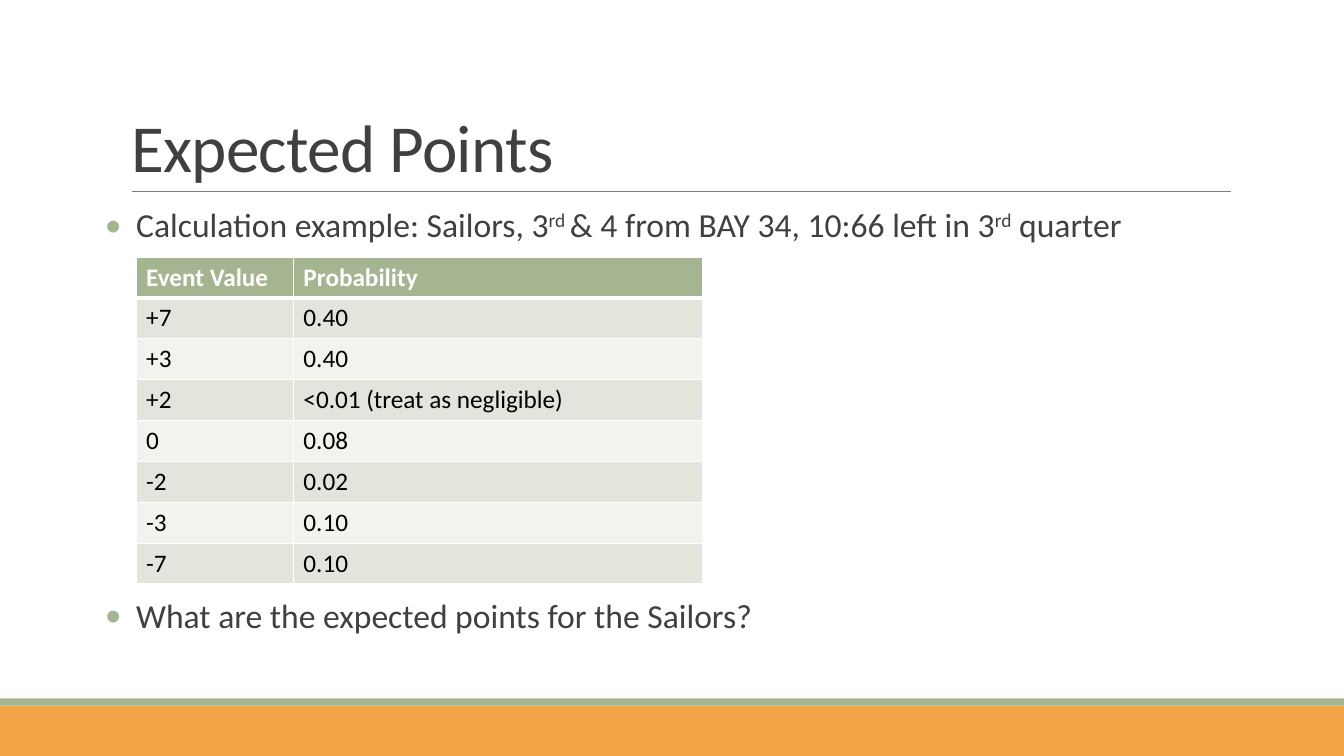
import pptx
import pptx.util
import pptx.dml.color
import pptx.enum.shapes
import pptx.enum.text
import pptx.oxml.ns
from lxml import etree

Inches = pptx.util.Inches
Pt = pptx.util.Pt
Anchor = pptx.enum.text.MSO_ANCHOR
HUES = {"ink": "404040", "black": "000000", "white": "FFFFFF", "rule": "808080",
        "sage": "A5B592", "gold": "F3A447", "dark": "E1E5DC", "light": "F0F3EE"}
ROWS = [("Event Value", "Probability"), ("+7", "0.40"), ("+3", "0.40"),
        ("+2", "<0.01 (treat as negligible)"), ("0", "0.08"),
        ("-2", "0.02"), ("-3", "0.10"), ("-7", "0.10")]
LINES = [(0, [("Calculation example: Sailors, 3", 0), ("rd ", 30),
              ("& 4 from BAY 34, 10:66 left in 3", 0), ("rd", 30), (" quarter", 0)]),
         (251, [("What are the expected points for the Sailors?", 0)])]


def rgb(hue):
    return pptx.dml.color.RGBColor.from_string(HUES[hue])


def node(root, tag, **attrs):
    return etree.SubElement(root, pptx.oxml.ns.qn("a:" + tag), attrs)


def write(para, text, size=18, hue="ink", bold=False, track=0, base=0):
    run = para.add_run()
    run.text = text
    font = run.font
    font.name, font.size, font.bold = "Calibri", Pt(size), bold
    font.color.rgb = rgb(hue)
    props = run._r.get_or_add_rPr()
    if track:
        props.set("spc", str(int(track * 100)))
    if base:
        props.set("baseline", str(base * 1000))


class Deck:
    """Holds the style and the current slide."""

    def __init__(self):
        self.show = pptx.Presentation()
        self.show.slide_width, self.show.slide_height = Inches(13.33), Inches(7.5)
        self.slide = self.show.slides.add_slide(self.show.slide_layouts[1])

    def place(self, shape, left, top, width, height):
        shape.left, shape.top = Inches(left), Inches(top)
        shape.width, shape.height = Inches(width), Inches(height)
        frame = shape.text_frame
        frame.word_wrap = True
        frame.auto_size = pptx.enum.text.MSO_AUTO_SIZE.NONE
        return frame

    def bar(self, top, height, hue):
        shape = self.slide.shapes.add_shape(
            pptx.enum.shapes.MSO_SHAPE.RECTANGLE,
            0, Inches(top), self.show.slide_width, Inches(height))
        shape.shadow.inherit = False
        shape.fill.solid()
        shape.fill.fore_color.rgb = rgb(hue)
        shape.line.fill.background()

    def rule(self, left, right, top):
        line = self.slide.shapes.add_connector(
            pptx.enum.shapes.MSO_CONNECTOR.STRAIGHT,
            Inches(left), Inches(top), Inches(right), Inches(top))
        line.line.color.rgb = rgb("rule")
        line.line.width = Pt(0.5)
        node(line._element.spPr, "effectLst")

    def title(self, text, *box):
        frame = self.place(self.slide.shapes.title, *box)
        frame.vertical_anchor = Anchor.BOTTOM
        para = frame.paragraphs[0]
        para.alignment = pptx.enum.text.PP_ALIGN.LEFT
        para.line_spacing = 0.85
        write(para, text, size=48, track=-0.5)

    def body(self, lines, *box):
        frame = self.place(self.slide.placeholders[1], *box)
        frame.margin_left = frame.margin_right = 0
        frame.vertical_anchor = Anchor.TOP
        for num, (gap, runs) in enumerate(lines):
            para = frame.add_paragraph() if num else frame.paragraphs[0]
            props = para._p.get_or_add_pPr()
            props.set("marL", str(Inches(0.31)))
            props.set("indent", str(Inches(-0.31)))
            node(node(props, "buClr"), "srgbClr", val=HUES["sage"])
            node(props, "buFont", typeface="Calibri")
            node(props, "buChar", char="•")
            para.line_spacing = 0.9
            para.space_before, para.space_after = Pt(gap), Pt(2)
            for text, base in runs:
                write(para, text, size=24, base=base)

    def edge(self, cell, **sides):
        props = cell._tc.get_or_add_tcPr()
        for side in "LRTB":
            line = node(props, "ln" + side, w=str(Pt(sides.get(side, 1))))
            node(node(line, "solidFill"), "srgbClr", val=HUES["white"])

    def table(self, rows, left, top, widths, height):
        grid = self.slide.shapes.add_table(
            len(rows), len(widths), Inches(left), Inches(top),
            Inches(sum(widths)), Inches(height * len(rows))).table
        for col, width in zip(grid.columns, widths):
            col.width = Inches(width)
        for num, row in enumerate(rows):
            head = num == 0
            fill = "sage" if head else "dark" if num % 2 else "light"
            for col, text in enumerate(row):
                cell = grid.cell(num, col)
                self.edge(cell, T=3 if num == 1 else 1, B=3 if head else 1)
                cell.fill.solid()
                cell.fill.fore_color.rgb = rgb(fill)
                write(cell.text_frame.paragraphs[0], text,
                      hue="white" if head else "black", bold=head)


def main():
    deck = Deck()
    deck.bar(7, 0.5, "gold")
    deck.bar(6.93, 0.07, "sage")
    deck.rule(1.31, 12.21, 1.9)
    deck.title("Expected Points", 1.2, 0.31, 11, 1.59)
    deck.body(LINES, 1.04, 2.02, 12.06, 4.91)
    deck.table(ROWS, 1.35, 2.55, (1.56, 4.06), 0.405)
    deck.show.save("out.pptx")


if __name__ == "__main__":
    main()
